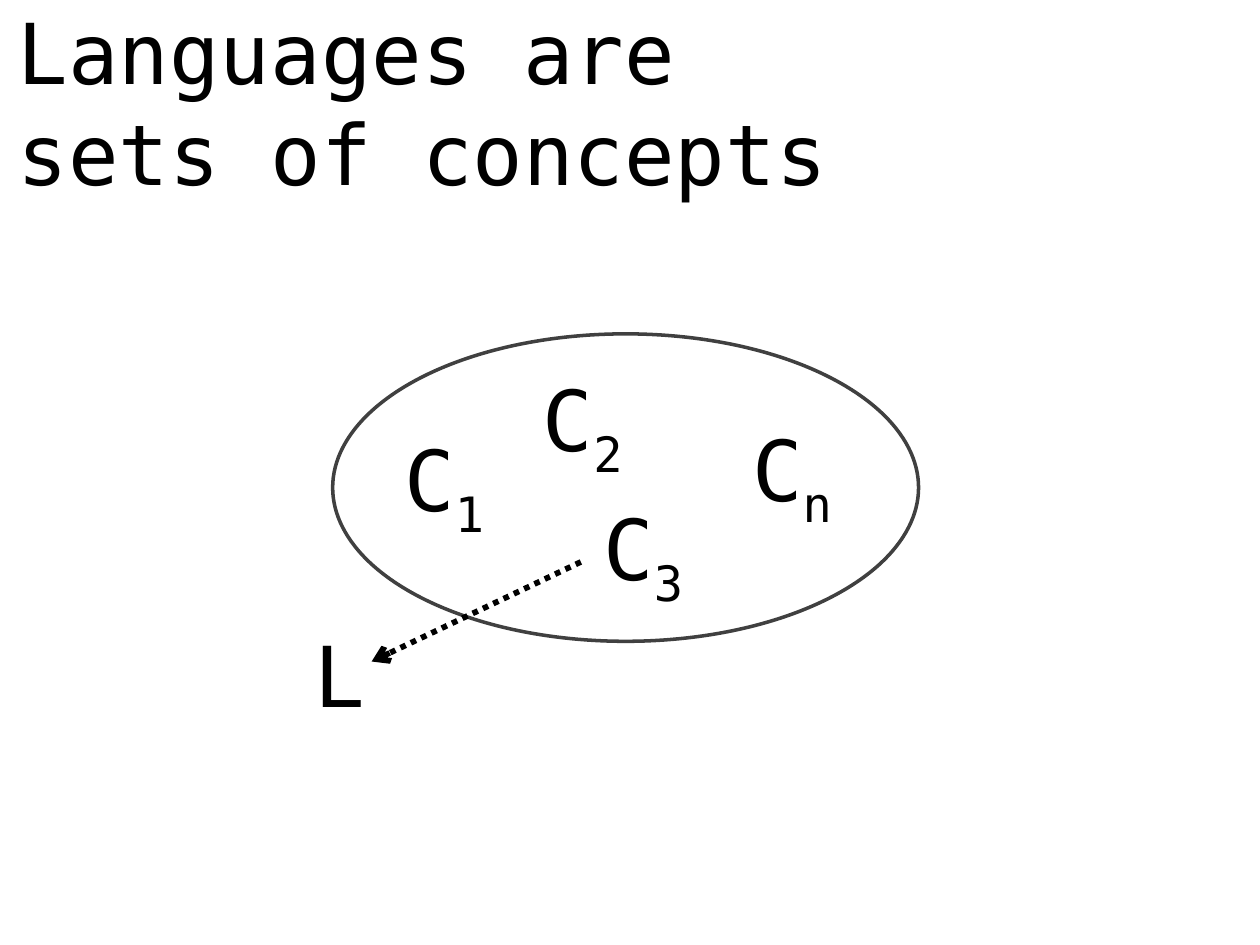
from lxml import etree
from pptx import Presentation, util as u
from pptx.dml.color import RGBColor
from pptx.enum import dml, shapes, text
from pptx.oxml.ns import qn

FONT = "DejaVu Sans Mono"
INK, RIM = "000000", "404040"
TERM = (1.18, 1.61)  # width and height of a term's box


def color(code):
    return RGBColor.from_string(code)


def inch(*nums):
    return [u.Inches(n) for n in nums]


def add_run(para, words, base=None):
    run = para.add_run()
    run.text = words
    font = run.font
    font.name, font.size = FONT, u.Pt(48)
    font.color.rgb = color(INK)
    if base:
        run._r.get_or_add_rPr().set("baseline", str(base * 1000))


def set_frame(shape):
    frame = shape.text_frame
    frame.word_wrap = True
    frame.auto_size = text.MSO_AUTO_SIZE.NONE
    frame.vertical_anchor = text.MSO_ANCHOR.MIDDLE
    para = frame.paragraphs[0]
    para.alignment = text.PP_ALIGN.LEFT
    return para


def add_title(slide, box, lines):
    title = slide.shapes.title
    title.left, title.top, title.width, title.height = inch(*box)
    para = set_frame(title)
    for i, line in enumerate(lines):
        if i:
            para.add_line_break()
        add_run(para, line)


def add_term(slide, left, top, name, sub=None):
    para = set_frame(slide.shapes.add_textbox(*inch(left, top, *TERM)))
    add_run(para, name)
    if sub:
        add_run(para, sub, -25)


def add_arrow(slide, start, end):
    link = slide.shapes.add_connector(
        shapes.MSO_CONNECTOR.STRAIGHT, *inch(*start, *end))
    link.line.color.rgb = color(INK)
    link.line.width = u.Pt(3.25)
    link.line.dash_style = dml.MSO_LINE.ROUND_DOT
    etree.SubElement(link.line._get_or_add_ln(), qn("a:tailEnd"), type="arrow")
    etree.SubElement(link._element.spPr, qn("a:effectLst"))


def add_set(slide, box):
    """Ellipse of concepts; terms are offset from its corner."""
    left, top = box[:2]
    oval = slide.shapes.add_shape(shapes.MSO_SHAPE.OVAL, *inch(*box))
    oval.shadow.inherit = False
    oval.fill.background()
    oval.line.color.rgb = color(RIM)
    oval.line.width = u.Pt(2)

    # Concepts, then the language itself
    for dx, dy, name, sub in (
        (0.47, 0.39, "C", "1"),
        (1.57, -0.08, "C", "2"),
        (2.05, 0.94, "C", "3"),
        (3.23, 0.31, "C", "n"),
        (-0.24, 1.89, "L", None),
    ):
        add_term(slide, left + dx, top + dy, name, sub)

    # Link from a concept to the language
    add_arrow(slide, (left + 1.97, top + 1.81), (left + 0.31, top + 2.6))


def main():
    deck = Presentation()
    deck.slide_width, deck.slide_height = inch(10, 7.5)
    slide = deck.slides.add_slide(deck.slide_layouts[0])
    sub = slide.placeholders[1]._element
    sub.getparent().remove(sub)

    add_title(slide, (0.04, 0, 7.17, 1.61),
              ("Languages are ", "sets of concepts"))
    add_set(slide, (2.64, 2.65, 4.65, 2.44))
    deck.save("out.pptx")


if __name__ == "__main__":
    main()
